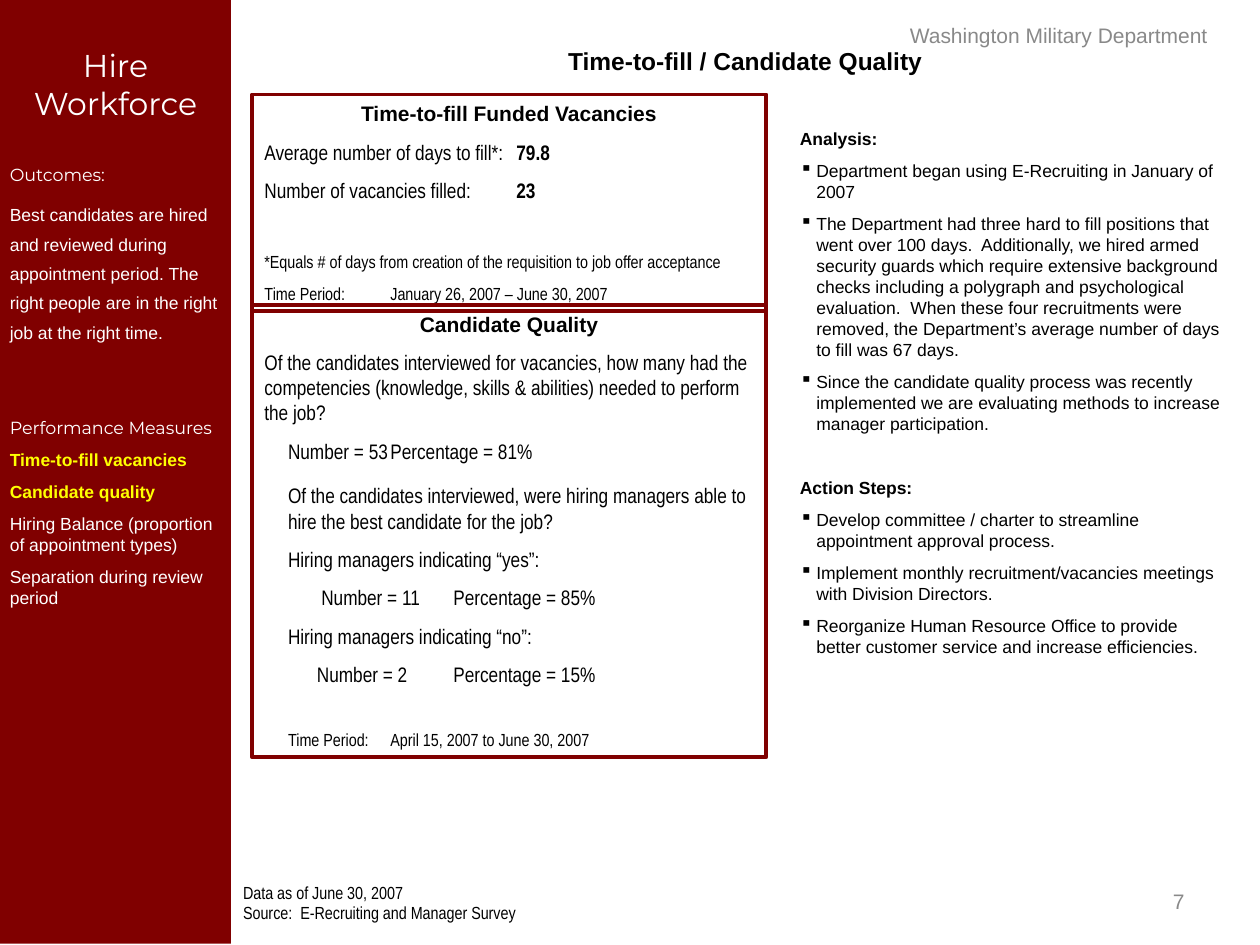
import pptx
import pptx.dml.color
import pptx.enum.shapes
import pptx.enum.text
import pptx.util
from lxml import etree

Pt = pptx.util.Pt
RGBColor = pptx.dml.color.RGBColor
Align = pptx.enum.text.PP_ALIGN
Anchor = pptx.enum.text.MSO_ANCHOR

MAROON = RGBColor(0x80, 0x00, 0x00)
WHITE = RGBColor(0xFF, 0xFF, 0xFF)
YELLOW = RGBColor(0xFF, 0xFF, 0x00)
BLACK = RGBColor(0x00, 0x00, 0x00)
GREY = RGBColor(0x89, 0x89, 0x89)

ARIAL = "Arial"
NARROW = "Arial Narrow"
MONTSERRAT = "Montserrat"
DRAWING = "{http://schemas.openxmlformats.org/drawingml/2006/main}"


class SlideBuilder:
    """Holds the shared style and the current slide."""

    inset_x, inset_y = 7.2, 3.6
    border = 2.25
    bullet = "▪"

    def __init__(self, slide):
        self.slide = slide

    def frame(self, shape, inset_x=inset_x, inset_y=inset_y, anchor=Anchor.TOP):
        frame = shape.text_frame
        frame.word_wrap = True
        frame.vertical_anchor = anchor
        frame.margin_left = frame.margin_right = Pt(inset_x)
        frame.margin_top = frame.margin_bottom = Pt(inset_y)
        return frame

    def text_box(self, left, top, width, height, anchor=Anchor.TOP):
        shape = self.slide.shapes.add_textbox(Pt(left), Pt(top), Pt(width), Pt(height))
        return self.frame(shape, anchor=anchor)

    def rectangle(self, left, top, width, height):
        shape = self.slide.shapes.add_shape(
            pptx.enum.shapes.MSO_SHAPE.RECTANGLE, Pt(left), Pt(top), Pt(width), Pt(height))
        shape.shadow.inherit = False
        return shape

    def panel(self, left, top, width, height):
        shape = self.rectangle(left, top, width, height)
        shape.fill.background()
        shape.line.color.rgb = MAROON
        shape.line.width = Pt(self.border)
        return self.frame(shape)

    def sidebar(self, width, height, inset_x, inset_y):
        shape = self.rectangle(0, 0, width, height)
        shape.fill.solid()
        shape.fill.fore_color.rgb = MAROON
        shape.line.fill.background()
        return self.frame(shape, inset_x, inset_y)

    def paragraph(self, frame, *runs, size=10, font=ARIAL, color=BLACK, bold=False,
                  align=Align.LEFT, before=0, spacing=None, margin=0, indent=0,
                  bullet=False, tab=None, tab_align="l"):
        """Adds a paragraph; a run is a string or a (string, bold) pair."""
        paragraph = frame.paragraphs[0]
        if paragraph.runs:
            paragraph = frame.add_paragraph()
        properties = paragraph._p.get_or_add_pPr()
        properties.set("marL", str(int(Pt(margin))))
        properties.set("indent", str(int(Pt(indent))))
        if bullet:
            bullet_color = etree.SubElement(properties, DRAWING + "buClr")
            etree.SubElement(bullet_color, DRAWING + "srgbClr", val=str(color))
            etree.SubElement(properties, DRAWING + "buChar", char=self.bullet)
        if tab:
            tabs = etree.SubElement(properties, DRAWING + "tabLst")
            etree.SubElement(tabs, DRAWING + "tab", pos=str(int(Pt(tab))), algn=tab_align)
        paragraph.alignment = align
        paragraph.space_before = Pt(before)
        if spacing:
            paragraph.line_spacing = spacing
        for item in runs:
            words, run_bold = (item, bold) if isinstance(item, str) else item
            run = paragraph.add_run()
            run.text = words
            run.font.size = Pt(size)
            run.font.name = font
            run.font.bold = run_bold
            run.font.color.rgb = color


def add_sidebar(builder):
    frame = builder.sidebar(132, 539.3, 5.6, 26.2)
    builder.paragraph(frame, "Hire Workforce", size=18, font=MONTSERRAT, color=WHITE,
                      align=Align.CENTER)
    builder.paragraph(frame, "Outcomes:", font=MONTSERRAT, color=WHITE, before=24.2)
    builder.paragraph(
        frame, "Best candidates are hired and reviewed during appointment period. "
        "The right people are in the right job at the right time.",
        color=WHITE, before=6.2, spacing=1.4)
    builder.paragraph(frame, "Performance Measures", font=MONTSERRAT, color=WHITE, before=42.5)
    for measure in ("Time-to-fill vacancies", "Candidate quality"):
        builder.paragraph(frame, measure, color=YELLOW, bold=True, before=6.2)
    for measure in ("Hiring Balance (proportion of appointment types)",
                    "Separation during review period"):
        builder.paragraph(frame, measure, color=WHITE, before=6.2)


def add_analysis(builder):
    frame = builder.text_box(450, 69.8, 257.8, 327.6)
    sections = {
        "Analysis:": (
            "Department began using E-Recruiting in January of 2007",
            "The Department had three hard to fill positions that went over 100 days.  "
            "Additionally, we hired armed security guards which require extensive background "
            "checks including a polygraph and psychological evaluation.  When these four "
            "recruitments were removed, the Department’s average number of days to fill was "
            "67 days.",
            "Since the candidate quality process was recently implemented we are evaluating "
            "methods to increase manager participation."),
        "Action Steps:": (
            "Develop committee / charter to streamline appointment approval process.",
            "Implement monthly recruitment/vacancies meetings with Division Directors.",
            "Reorganize Human Resource Office to provide better customer service and "
            "increase efficiencies."),
    }
    before = 0
    for heading, points in sections.items():
        builder.paragraph(frame, heading, bold=True, before=before, margin=9.4, indent=-9.4)
        for point in points:
            builder.paragraph(frame, point, before=6.2, margin=9.4, indent=-9.4, bullet=True)
        before = 24.4


def add_time_to_fill(builder):
    frame = builder.panel(144, 54, 293.8, 123.8)
    builder.paragraph(frame, "Time-to-fill Funded Vacancies", size=12, bold=True,
                      align=Align.CENTER)
    for label, value in (("Average number of days to fill*:", "79.8"),
                         ("Number of vacancies filled:", "23")):
        builder.paragraph(frame, label + "\t", (value, True), size=12, font=NARROW,
                          before=7.5, tab=243.4, tab_align="r")
    builder.paragraph(
        frame, "*Equals # of days from creation of the requisition to job offer acceptance",
        font=NARROW, before=27.9)
    builder.paragraph(frame, "Time Period:\tJanuary 26, 2007 – June 30, 2007",
                      font=NARROW, before=6.2, tab=53)


def add_candidate_quality(builder):
    frame = builder.panel(144, 174.2, 293.8, 258.5)
    builder.paragraph(frame, "Candidate Quality", size=12, bold=True, align=Align.CENTER)
    # Text, space before, left margin, first-line indent, tab stop
    rows = (
        ("Of the candidates interviewed for vacancies, how many had the competencies "
         "(knowledge, skills & abilities) needed to perform the job?", 7.5, 0, 0, None),
        ("Number = 53\tPercentage = 81%", 7.5, 0, 13.5, 78.5),
        ("Of the candidates interviewed, were hiring managers able to hire the best "
         "candidate for the job?", 11.2, 13.5, 0, None),
        ("Hiring managers indicating “yes”:", 7.5, 13.5, 0, None),
        ("Number = 11\tPercentage = 85%", 7.5, 0, 32.5, 102.5),
        ("Hiring managers indicating “no”:", 7.5, 13.5, 0, None),
        ("Number = 2\tPercentage = 15%", 7.5, 0, 30, 95),
    )
    for words, before, margin, indent, tab in rows:
        builder.paragraph(frame, words, size=12, font=NARROW, before=before,
                          margin=margin, indent=indent, tab=tab)
    builder.paragraph(frame, "Time Period:\tApril 15, 2007 to June 30, 2007",
                      font=NARROW, before=24.4, indent=13.5, tab=66)


def main():
    presentation = pptx.Presentation()
    presentation.slide_width, presentation.slide_height = Pt(720), Pt(540)
    builder = SlideBuilder(presentation.slides.add_slide(presentation.slide_layouts[6]))

    # Department name and page number
    frame = builder.text_box(491, 5.8, 228.2, 28.8, Anchor.MIDDLE)
    builder.paragraph(frame, "Washington Military Department", size=12, color=GREY,
                      align=Align.CENTER)
    frame = builder.text_box(516.2, 500.4, 167.8, 28.8, Anchor.MIDDLE)
    builder.paragraph(frame, "7", size=12, color=GREY, align=Align.RIGHT)

    # Sidebar and analysis
    add_sidebar(builder)
    add_analysis(builder)

    # Data source
    frame = builder.text_box(131.8, 504, 329.8, 26.6)
    builder.paragraph(frame, "Data as of June 30, 2007", font=NARROW, spacing=0.7)
    builder.paragraph(frame, "Source:  E-Recruiting and Manager Survey", font=NARROW,
                      before=2.5, spacing=0.7)

    # Bordered panels
    add_time_to_fill(builder)
    add_candidate_quality(builder)

    # Slide title
    frame = builder.text_box(131.8, 23, 588.2, 24.5)
    builder.paragraph(frame, "Time-to-fill / Candidate Quality", size=14, bold=True,
                      align=Align.CENTER)

    presentation.save("out.pptx")


if __name__ == "__main__":
    main()
